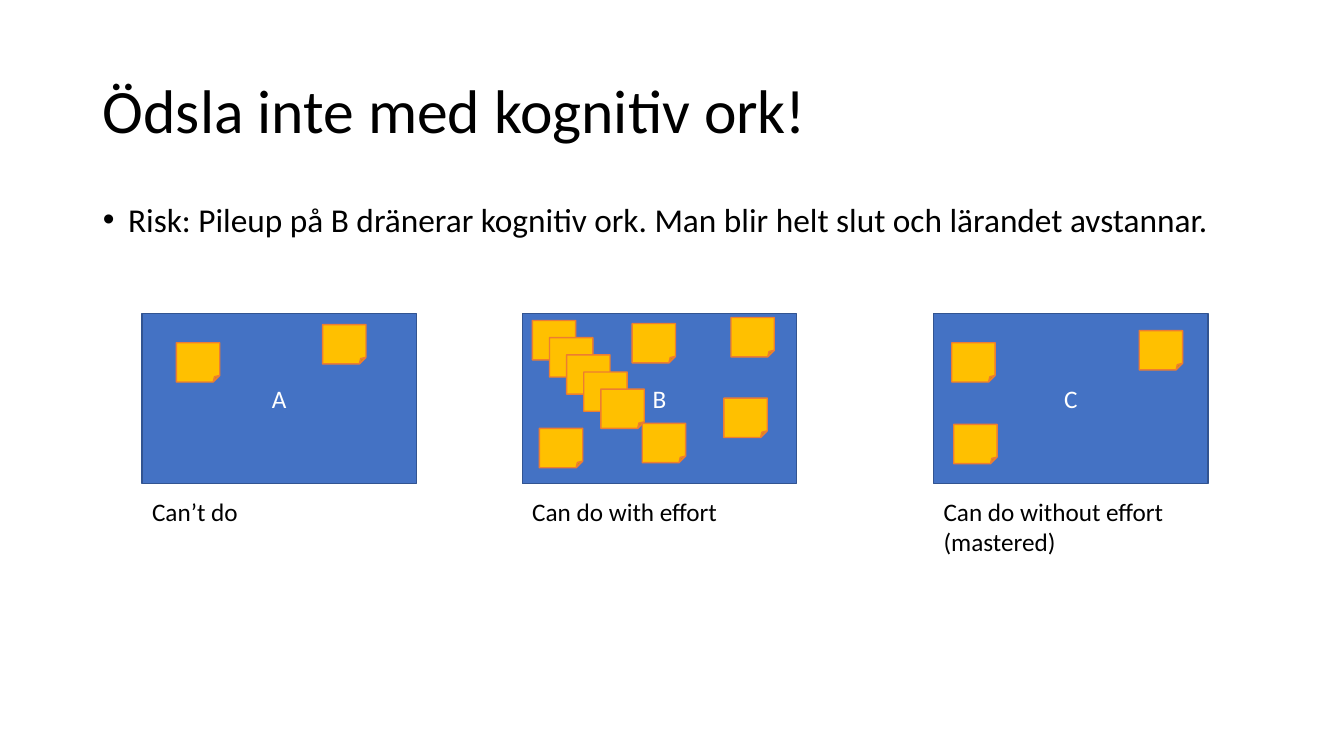
from pptx import Presentation
from pptx.dml.color import RGBColor
from pptx.enum.shapes import MSO_SHAPE as Kind
from pptx.enum.text import MSO_ANCHOR as Anchor, MSO_AUTO_SIZE as Fit, PP_ALIGN as Align
from pptx.util import Inches, Pt

WIDE, HIGH = 13.33, 7.5
BLUE, NAVY, GOLD, RUST = "4472C4", "325491", "FFC000", "ED7D31"
BLACK, WHITE = "000000", "FFFFFF"
NOTE = (0.43, 0.39)
STEP = 0.17
PILE = [(0.1 + STEP * i, 0.07 + STEP * i) for i in range(5)]

# Letter, left edge, caption, caption height, note offsets within the board
BOARDS = [
    ("A", 1.41, "Can’t do", 0.4, [(1.79, 0.11), (0.34, 0.29)]),
    ("B", 5.18, "Can do with effort", 0.4,
     PILE + [(1.19, 1.09), (1.09, 0.1), (0.17, 1.14), (2, 0.84), (2.07, 0.04)]),
    ("C", 9.26, "Can do without effort (mastered)", 0.71,
     [(0.18, 0.29), (2.04, 0.17), (0.2, 1.1)]),
]


def paint(color, hue):
    """Set a colour format from a hex string."""
    color.rgb = RGBColor.from_string(hue)


def place(shape, box):
    """Move a shape to a box given in inches."""
    shape.left, shape.top, shape.width, shape.height = map(Inches, box)


def write(shape, text, size=18, hue=BLACK, align=Align.LEFT,
          anchor=Anchor.TOP, lead=None, before=None, fit=Fit.NONE):
    """Fill a shape with one formatted paragraph and return it."""
    frame = shape.text_frame
    frame.word_wrap, frame.auto_size = True, fit
    frame.vertical_anchor = anchor
    para = frame.paragraphs[0]
    para.alignment, para.line_spacing = align, lead
    para.space_before = None if before is None else Pt(before)
    run = para.add_run()
    run.text = text
    run.font.size, run.font.name = Pt(size), "Calibri"
    paint(run.font.color, hue)
    return para


def block(slide, kind, box, fill, line):
    """Add a flat shape with a thin outline."""
    shape = slide.shapes.add_shape(kind, *map(Inches, box))
    shape.shadow.inherit = False
    shape.fill.solid()
    paint(shape.fill.fore_color, fill)
    paint(shape.line.color, line)
    shape.line.width = Pt(1)
    return shape


def head(slide, box):
    """Fill the title placeholder."""
    title = slide.shapes.title
    place(title, box)
    write(title, "Ödsla inte med kognitiv ork!", size=44,
          anchor=Anchor.MIDDLE, lead=0.9)


def risk(slide, box):
    """Fill the body placeholder with its bullet."""
    body = slide.placeholders[1]
    place(body, box)
    para = write(body, "Risk: Pileup på B dränerar kognitiv ork. "
                 "Man blir helt slut och lärandet avstannar.",
                 size=23.8, lead=0.8, before=10)
    props = para._p.get_or_add_pPr()
    props.set("marL", str(Inches(0.25)))
    props.set("indent", str(Inches(-0.25)))


def board(slide, box, letter, label, tall, notes):
    """Draw a lettered board with its caption and sticky notes."""
    left, top, wide, high = box
    panel = block(slide, Kind.RECTANGLE, box, BLUE, NAVY)
    write(panel, letter, hue=WHITE, align=Align.CENTER, anchor=Anchor.MIDDLE)
    under = (left, top + high + 0.07, wide, tall)
    text = slide.shapes.add_textbox(*map(Inches, under))
    write(text, label, fit=Fit.SHAPE_TO_FIT_TEXT)
    for x, y in notes:
        block(slide, Kind.FOLDED_CORNER, (left + x, top + y, *NOTE), GOLD, RUST)


def build():
    """Build and save the deck."""
    deck = Presentation()
    deck.slide_width, deck.slide_height = Inches(WIDE), Inches(HIGH)
    slide = deck.slides.add_slide(deck.slide_layouts[1])
    head(slide, (0.92, 0.4, 11.5, 1.45))
    risk(slide, (0.92, 2, 11.5, 0.65))
    for letter, left, label, tall, notes in BOARDS:
        board(slide, (left, 3.11, 2.72, 1.69), letter, label, tall, notes)
    deck.save("out.pptx")


build()
